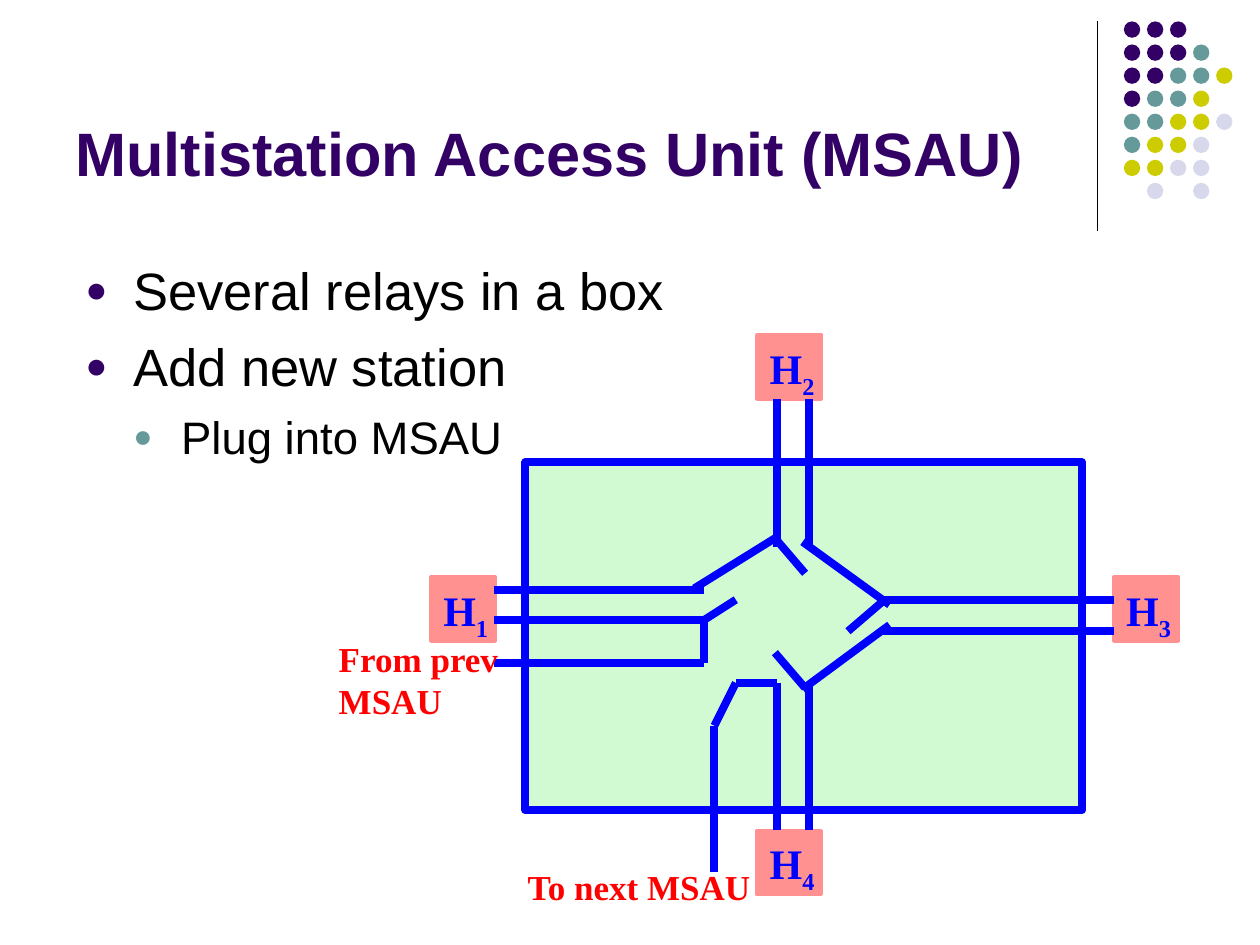
from typing import NamedTuple

from lxml import etree
from pptx import Presentation
from pptx import util as u
from pptx.dml.color import RGBColor
from pptx.enum import shapes, text
from pptx.oxml import ns

COLORS = {
    "purple": "330066",
    "teal": "669999",
    "olive": "CCCC00",
    "lavender": "D8D8EC",
    "black": "000000",
    "blue": "0000FF",
    "red": "FF0000",
    "pink": "FF9191",
    "green": "D2FAD2",
}
SANS, SERIF = "Arial", "Times New Roman"
WIRE_WIDTH = 4.5

# One string per row of dots; a space leaves a gap.
DOT_ROWS = ["PPP", "PPPT", "PPTTO", "PTTO", "TTOOL", "TOOL", "OOLL", " L L"]
DOT_COLORS = {"P": "purple", "T": "teal", "O": "olive", "L": "lavender"}
DOT_PITCH = 0.183
DOT_SIZE = 0.13


class Box(NamedTuple):
    left: float
    top: float
    width: float
    height: float


class Style(NamedTuple):
    font: str
    size: float
    color: str
    bold: bool = False


class Bullet(NamedTuple):
    words: str
    level: int
    size: float
    color: str
    space_before: float


class Station(NamedTuple):
    number: str
    left: float
    top: float


class Wire(NamedTuple):
    x1: float
    y1: float
    x2: float
    y2: float


BULLETS = [
    Bullet("Several relays in a box", 0, 30, "purple", 0),
    Bullet("Add new station", 0, 30, "purple", 7.5),
    Bullet("Plug into MSAU", 1, 26, "teal", 6.5),
]
STATIONS = [
    Station("1", 3.42, 4.58),
    Station("3", 8.84, 4.58),
    Station("2", 6.01, 2.66),
    Station("4", 6.01, 6.59),
]
WIRES = [
    # Station 1 and the link from the previous unit
    *(Wire(3.92, y, 5.59, y) for y in (4.68, 4.92, 5.26)),
    Wire(5.59, 4.92, 5.59, 5.26),
    # Stations 2 and 4
    *(Wire(x, top, x, top + 1.17) for top in (3.17, 5.42) for x in (6.17, 6.42)),
    # Station 3
    *(Wire(7.01, y, 8.84, y) for y in (4.76, 5.01)),
    # Link to the next unit
    Wire(5.84, 5.42, 6.17, 5.42),
    Wire(5.84, 5.42, 5.67, 5.76),
    Wire(5.67, 5.76, 5.67, 6.92),
    # Paths between neighbouring stations
    Wire(5.51, 4.67, 6.17, 4.26),
    Wire(7.06, 4.8, 6.37, 4.3),
    Wire(7.06, 4.96, 6.37, 5.47),
    # Open relay arms
    Wire(6.39, 5.46, 6.15, 5.18),
    Wire(5.59, 4.92, 5.84, 4.76),
    Wire(6.39, 4.55, 6.15, 4.27),
    Wire(6.73, 5.01, 7.01, 4.77),
]


def rgb(color: str) -> RGBColor:
    return RGBColor.from_string(COLORS[color])


def lengths(values: tuple) -> list:
    return [u.Inches(value) for value in values]


def add_filled(slide, kind, box: Box, fill: str, line: str = "", width: float = 0):
    shape = slide.shapes.add_shape(kind, *lengths(box))
    shape.shadow.inherit = False
    shape.fill.solid()
    shape.fill.fore_color.rgb = rgb(fill)
    if line:
        shape.line.color.rgb = rgb(line)
        shape.line.width = u.Pt(width)
    else:
        shape.line.fill.background()


def add_line(slide, ends: Wire, color: str, width: float) -> None:
    line = slide.shapes.add_connector(shapes.MSO_CONNECTOR.STRAIGHT, *lengths(ends))
    line.line.color.rgb = rgb(color)
    line.line.width = u.Pt(width)
    properties = line._element.spPr
    etree.SubElement(properties, ns.qn("a:effectLst"))


def add_run(paragraph, words: str, style: Style):
    run = paragraph.add_run()
    run.text = words
    run.font.name = style.font
    run.font.size = u.Pt(style.size)
    run.font.bold = style.bold
    run.font.color.rgb = rgb(style.color)
    return run


def add_text_frame(slide, box: Box):
    frame = slide.shapes.add_textbox(*lengths(box)).text_frame
    frame.word_wrap = True
    return frame


def add_label(slide, box: Box, lines: list[str], style: Style):
    frame = add_text_frame(slide, box)
    for index, words in enumerate(lines):
        paragraph = frame.add_paragraph() if index else frame.paragraphs[0]
        add_run(paragraph, words, style)
    return frame


def add_bullets(slide, box: Box, bullets: list[Bullet]) -> None:
    frame = add_text_frame(slide, box)
    for index, bullet in enumerate(bullets):
        paragraph = frame.add_paragraph() if index else frame.paragraphs[0]
        paragraph.level = bullet.level
        paragraph.space_before = u.Pt(bullet.space_before)
        properties = paragraph._p.get_or_add_pPr()
        properties.set("marL", str(u.Inches(0.38 * (bullet.level + 1))))
        properties.set("indent", str(u.Inches(-0.38)))
        color = etree.SubElement(properties, ns.qn("a:buClr"))
        etree.SubElement(color, ns.qn("a:srgbClr"), val=COLORS[bullet.color])
        etree.SubElement(properties, ns.qn("a:buSzPct"), val="70000")
        etree.SubElement(properties, ns.qn("a:buFont"), typeface=SANS)
        etree.SubElement(properties, ns.qn("a:buChar"), char="●")
        add_run(paragraph, bullet.words, Style(SANS, bullet.size, "black"))


def add_dots(slide) -> None:
    for row, keys in enumerate(DOT_ROWS):
        for column, key in enumerate(keys):
            if key in DOT_COLORS:
                box = Box(8.92 + column * DOT_PITCH, 0.17 + row * DOT_PITCH, DOT_SIZE, DOT_SIZE)
                add_filled(slide, shapes.MSO_SHAPE.OVAL, box, DOT_COLORS[key])


def add_station(slide, station: Station) -> None:
    box = Box(station.left, station.top, 0.51, 0.51)
    add_filled(slide, shapes.MSO_SHAPE.RECTANGLE, box, "pink", "pink", 2)
    style = Style(SERIF, 24, "blue", True)
    frame = add_label(slide, Box(station.left, station.top + 0.01, 0.83, 0.56), ["H"], style)
    subscript = add_run(frame.paragraphs[0], station.number, style)
    subscript._r.get_or_add_rPr().set("baseline", "-25000")


def main() -> None:
    presentation = Presentation()
    presentation.slide_width, presentation.slide_height = u.Inches(10), u.Inches(7.5)
    slide = presentation.slides.add_slide(presentation.slide_layouts[6])

    add_line(slide, Wire(8.71, 0.17, 8.71, 1.83), "black", 0.75)
    add_dots(slide)
    title = add_label(slide, Box(0.5, 0.13, 8.25, 1.42),
                      ["Multistation Access Unit (MSAU)"], Style(SANS, 35, "purple", True))
    title.vertical_anchor = text.MSO_ANCHOR.BOTTOM
    add_bullets(slide, Box(0.58, 2, 8.5, 4.5), BULLETS)

    add_filled(slide, shapes.MSO_SHAPE.RECTANGLE, Box(4.17, 3.67, 4.42, 2.76),
               "green", "blue", WIRE_WIDTH)
    for station in STATIONS:
        add_station(slide, station)
    for wire in WIRES:
        add_line(slide, wire, "blue", WIRE_WIDTH)
    link = Style(SERIF, 20, "red", True)
    add_label(slide, Box(4.09, 6.82, 2.83, 0.44), ["To next MSAU"], link)
    add_label(slide, Box(2.59, 5.01, 2.83, 0.77), ["From prev", "MSAU"], link)

    presentation.save("out.pptx")


if __name__ == "__main__":
    main()
